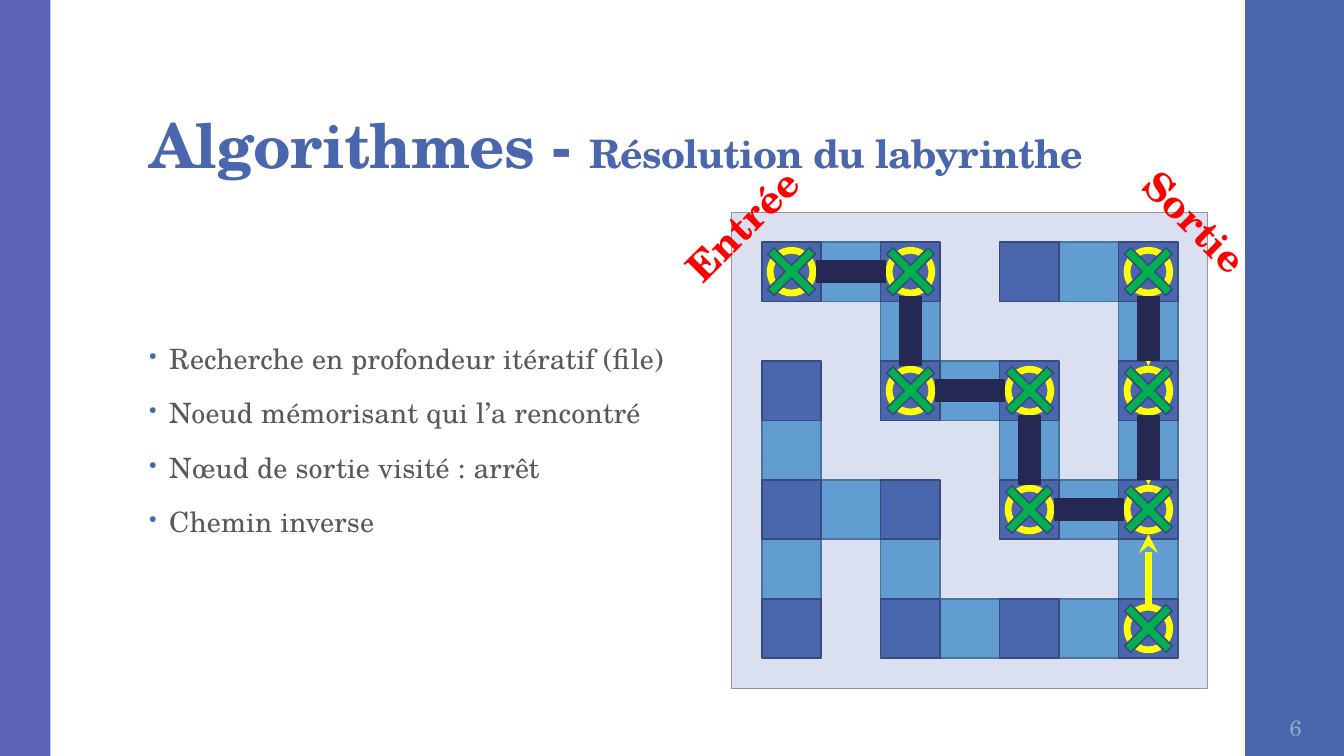
from lxml import etree
from pptx import Presentation, util as u
from pptx.dml.color import RGBColor
from pptx.enum import shapes, text
from pptx.oxml.ns import qn

FONT = "TeX Gyre Schola"
BLUE, RED, YELLOW, NAVY = "4A66AC", "FF0000", "FFFF00", "242852"
EDGE = "374B7F"
MAZE = [
    "NcN.NcN",
    "..c...c",
    "N.NcN.N",
    "c...c.c",
    "NcN.NcN",
    "c.c...c",
    "N.NcNcN",
]
SOLUTION = [(0, 0), (2, 0), (2, 2), (4, 2), (4, 4), (6, 4), (6, 2), (6, 0)]
DEAD_END = (6, 6)
STEPS = [
    "Recherche en profondeur itératif (file)",
    "Noeud mémorisant qui l’a rencontré",
    "Nœud de sortie visité : arrêt",
    "Chemin inverse",
]


def color(value):
    return RGBColor.from_string(value)


def apply(target, values):
    for name, value in values.items():
        setattr(target, name, value)


def add_figure(parent, kind, box, fill, edge=None, weight=1.1, adjust=None):
    figure = parent.shapes.add_shape(kind, *map(u.Inches, box))
    figure.shadow.inherit = False
    figure.fill.solid()
    figure.fill.fore_color.rgb = color(fill)
    if edge:
        figure.line.color.rgb = color(edge)
        figure.line.width = u.Pt(weight)
    else:
        figure.line.fill.background()
    if adjust is not None:
        figure.adjustments[0] = adjust


def add_frame(slide, box, rotation=0, **values):
    holder = slide.shapes.add_textbox(*map(u.Inches, box))
    holder.rotation = rotation
    apply(holder.text_frame, {"word_wrap": True, **values})
    return holder.text_frame


def add_words(paragraph, words, size, shade, bold=False, spacing=0):
    run = paragraph.add_run()
    run.text = words
    apply(run.font, {"name": FONT, "size": u.Pt(size), "bold": bold})
    run.font.color.rgb = color(shade)
    if spacing:
        run.font._element.set("spc", str(spacing))


def add_bullet(paragraph):
    props = paragraph._p.get_or_add_pPr()
    props.set("marL", str(u.Inches(0.2)))
    props.set("indent", str(u.Inches(-0.2)))
    shade = etree.SubElement(props, qn("a:buClr"))
    etree.SubElement(shade, qn("a:srgbClr"), val=BLUE)
    etree.SubElement(props, qn("a:buSzPct"), val="80000")
    etree.SubElement(props, qn("a:buChar"), char="•")


def side_bars(slide, width, height):
    add_figure(slide, shapes.MSO_SHAPE.RECTANGLE, (12.35, 0, width - 12.35, height), BLUE)
    add_figure(slide, shapes.MSO_SHAPE.RECTANGLE, (0, 0, 0.5, height), "5C64B7")


def heading(slide, box):
    frame = add_frame(slide, box, vertical_anchor=text.MSO_ANCHOR.BOTTOM,
                      margin_top=u.Inches(0.03), margin_bottom=u.Inches(0.05))
    title = frame.paragraphs[0]
    title.line_spacing = 0.9
    add_words(title, "Algorithmes - ", 44, BLUE, True, -50)
    add_words(title, "Résolution du labyrinthe", 28, BLUE, True, -50)


def step_list(slide, box):
    frame = add_frame(slide, box, vertical_anchor=text.MSO_ANCHOR.MIDDLE)
    for index, step in enumerate(STEPS):
        paragraph = frame.add_paragraph() if index else frame.paragraphs[0]
        add_bullet(paragraph)
        apply(paragraph, {"line_spacing": 0.95, "space_after": u.Pt(2),
                          "space_before": u.Pt(14 if index else 0)})
        add_words(paragraph, step, 20, "595959", spacing=10)


def add_passage(slide, start, end, start_gap, end_gap, shade, weight, arrow=False):
    (x1, y1), (x2, y2) = start, end
    length = abs(x2 - x1) + abs(y2 - y1)
    dx, dy = (x2 - x1) / length, (y2 - y1) / length
    points = (x1 + dx * start_gap, y1 + dy * start_gap,
              x2 - dx * end_gap, y2 - dy * end_gap)
    passage = slide.shapes.add_connector(shapes.MSO_CONNECTOR.STRAIGHT, *map(u.Inches, points))
    passage.line.color.rgb = color(shade)
    passage.line.width = u.Pt(weight)
    if arrow:
        etree.SubElement(passage.line._get_or_add_ln(), qn("a:headEnd"), type="stealth")
    etree.SubElement(passage._element.spPr, qn("a:effectLst"))


def maze(slide, left, top, side):
    cell = side / 8
    origin_x, origin_y = left + cell / 2, top + 0.29
    ring, cross = 0.49, 0.79

    def centre(node):
        return origin_x + (node[0] + 0.5) * cell, origin_y + (node[1] + 0.5) * cell

    def around(node, size):
        x, y = centre(node)
        return x - size / 2, y - size / 2, size, size

    board = slide.shapes.add_group_shape()
    square = shapes.MSO_SHAPE.RECTANGLE
    add_figure(board, square, (left, top, side, side), "DAE0EF", "9D90A0", 0.75)
    for mark, fill, edge in (("c", "629DD1", "49749B"), ("N", BLUE, EDGE)):
        for row, line in enumerate(MAZE):
            for column, kind in enumerate(line):
                if kind == mark:
                    add_figure(board, square, around((column, row), cell), fill, edge)

    visited = SOLUTION + [DEAD_END]
    for node in visited:
        add_figure(slide, shapes.MSO_SHAPE.DONUT, around(node, ring), YELLOW, adjust=0.135)
    for node in visited:
        add_figure(slide, shapes.MSO_SHAPE.MATH_MULTIPLY, around(node, cross),
                   "00B050", EDGE, adjust=0.113)

    corner_label(slide, "Entrée", (left - 1.04, top - 0.17, 2.28, 0.57), 315)
    corner_label(slide, "Sortie", (left + 3.46, top - 0.2, 2.28, 0.57), 45)

    moves = list(zip(SOLUTION, SOLUTION[1:]))
    for start, end in moves + [(SOLUTION[5], DEAD_END)]:
        add_passage(slide, centre(start), centre(end), ring / 2, ring / 2, YELLOW, 4.5, True)
    for start, end in moves:
        rising = end[1] < start[1]
        add_passage(slide, centre(start), centre(end), cell / 2 if rising else ring / 2,
                    ring / 2, NAVY, 16)


def corner_label(slide, words, box, rotation):
    label = add_frame(slide, box, rotation).paragraphs[0]
    label.alignment = text.PP_ALIGN.CENTER
    add_words(label, words, 28, RED, True)


def page_number(slide, box):
    inset = u.Inches(0.05)
    frame = add_frame(slide, box, vertical_anchor=text.MSO_ANCHOR.BOTTOM,
                      margin_left=inset, margin_right=inset)
    number = frame.paragraphs[0]
    number.alignment = text.PP_ALIGN.CENTER
    add_words(number, "6", 16, "90A2CF")


def main():
    width, height = 13.33, 7.5
    deck = Presentation()
    apply(deck, {"slide_width": u.Inches(width), "slide_height": u.Inches(height)})
    slide = deck.slides.add_slide(deck.slide_layouts[6])
    side_bars(slide, width, height)
    heading(slide, (1.38, 0.32, 10.6, 1.53))
    step_list(slide, (1.38, 2, 9.4, 4.76))
    maze(slide, 7.26, 2.11, 4.72)
    page_number(slide, (12.35, 6.75, 1, 0.65))
    deck.save("out.pptx")


if __name__ == "__main__":
    main()
